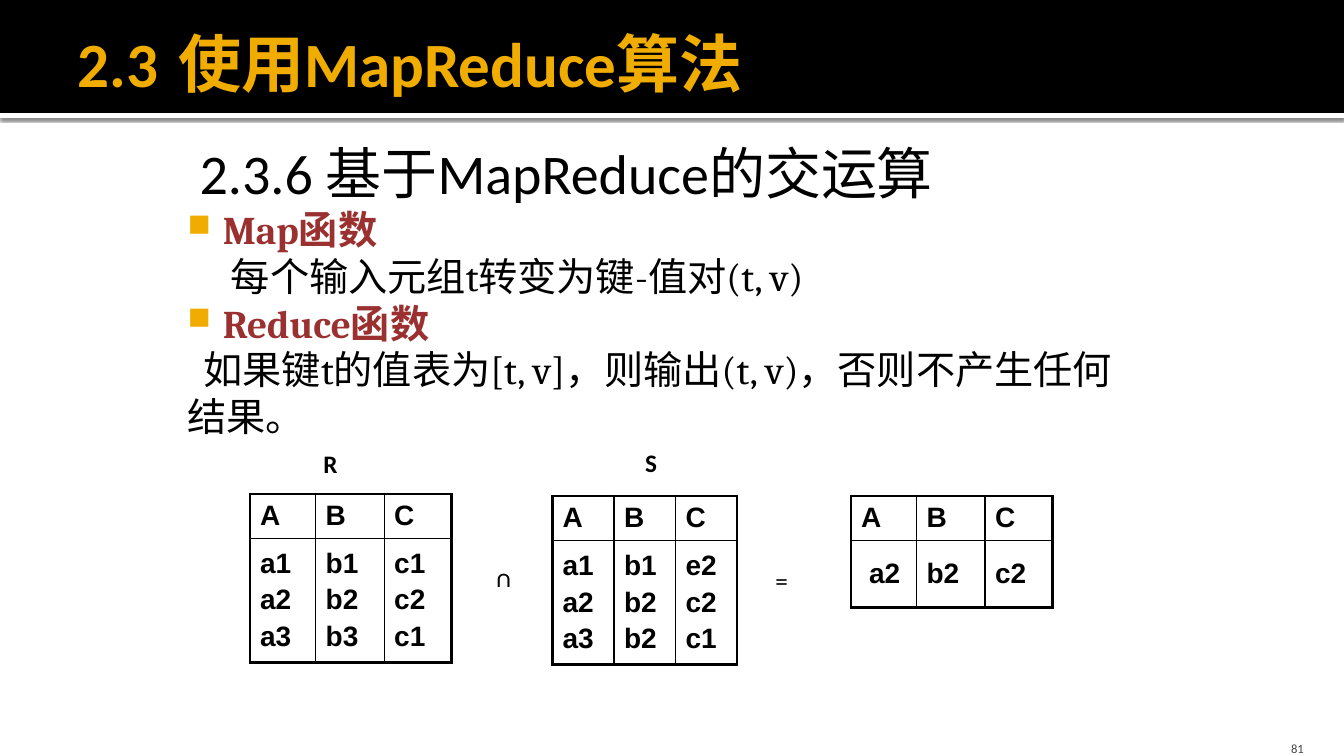
from dataclasses import dataclass

from lxml import etree
from pptx import Presentation
from pptx.dml.color import RGBColor
from pptx.enum import shapes, text
from pptx.oxml import ns
from pptx.util import Inches, Pt


@dataclass(frozen=True)
class Theme:
    black: str = "000000"
    white: str = "FFFFFF"
    gold: str = "F0AD00"
    red: str = "9A3130"
    grey: str = "454545"
    sans: str = "Calibri"
    serif: str = "Cambria"
    table_font: str = "Arial"
    title: int = 45
    heading: int = 40
    body: int = 28
    cell: int = 20
    label: int = 18
    number: int = 9
    thick: float = 2.25
    thin: float = 1


THEME = Theme()


def add_element(parent, tag, **attributes):
    element = etree.SubElement(parent, ns.qn(tag))
    for name, value in attributes.items():
        element.set(name, str(value))
    return element


def add_color(parent, color):
    return add_element(add_element(parent, "a:solidFill"), "a:srgbClr", val=color)


def write(paragraph, content, size, font=THEME.sans, color=THEME.black, bold=False,
          left=0, first=0, before=0, line=None, align=None, bullet=False, tab=None):
    properties = paragraph._p.get_or_add_pPr()
    properties.set("marL", str(Inches(left)))
    properties.set("indent", str(Inches(first)))
    if line:
        paragraph.line_spacing = Pt(line)
    if before:
        paragraph.space_before = Pt(before)
    if bullet:
        add_element(add_element(properties, "a:buClr"), "a:srgbClr", val=THEME.gold)
        add_element(properties, "a:buSzPct", val=80000)
        add_element(properties, "a:buChar", char="■")
    else:
        add_element(properties, "a:buNone")
    if tab:
        add_element(add_element(properties, "a:tabLst"), "a:tab", pos=Inches(tab), algn="l")
    if align:
        paragraph.alignment = align
    run = paragraph.add_run()
    run.text = content
    run.font.size = Pt(size)
    run.font.name = font
    run.font.bold = bold
    run.font.color.rgb = RGBColor.from_string(color)


def add_box(slide, place, insets=(0.1, 0.05, 0.1, 0.05), wrap=True,
            anchor=text.MSO_ANCHOR.TOP):
    frame = slide.shapes.add_textbox(*map(Inches, place)).text_frame
    frame.word_wrap = wrap
    frame.vertical_anchor = anchor
    (frame.margin_left, frame.margin_top,
     frame.margin_right, frame.margin_bottom) = map(Inches, insets)
    return frame


def add_band(slide, top, height, color):
    band = slide.shapes.add_shape(shapes.MSO_SHAPE.RECTANGLE, 0, Inches(top),
                                  Inches(13.33), Inches(height))
    band.shadow.inherit = False
    band.fill.solid()
    band.fill.fore_color.rgb = RGBColor.from_string(color)
    band.line.fill.background()
    return band


def add_shadow(shape):
    effects = shape._element.spPr.find(ns.qn("a:effectLst"))
    shadow = add_element(effects, "a:outerShdw", blurRad=Pt(2.5), dist=Pt(0.8),
                         dir=5400000, algn="t", rotWithShape=0)
    color = add_element(shadow, "a:srgbClr", val=THEME.black)
    add_element(color, "a:alpha", val=60000)


def set_borders(cell, outer_sides):
    properties = cell._tc.get_or_add_tcPr()
    for side, outer in outer_sides.items():
        width = THEME.thick if outer else THEME.thin
        add_color(add_element(properties, f"a:ln{side}", w=Pt(width)), THEME.black)


def add_relation(slide, left, top, widths, heights, columns, first_inset=0.1):
    table = slide.shapes.add_table(2, len(columns), Inches(left), Inches(top),
                                   Inches(sum(widths)), Inches(sum(heights))).table
    table.first_row = table.horz_banding = False
    for row, height in zip(table.rows, heights):
        row.height = Inches(height)
    for index, (name, values) in enumerate(columns.items()):
        table.columns[index].width = Inches(widths[index])
        for row, lines in enumerate(([name], values)):
            cell = table.cell(row, index)
            cell.vertical_anchor = text.MSO_ANCHOR.MIDDLE
            cell.margin_left = Inches(first_inset if row and not index else 0.1)
            set_borders(cell, {"L": index == 0, "R": index == len(columns) - 1,
                               "T": row == 0, "B": row == 1})
            cell.fill.background()
            for number, value in enumerate(lines):
                frame = cell.text_frame
                paragraph = frame.add_paragraph() if number else frame.paragraphs[0]
                write(paragraph, value, THEME.cell, font=THEME.table_font, bold=True,
                      before=4 if number else 0)


def add_body(slide):
    frame = add_box(slide, (1.67, 1.23, 9.78, 6.25), (0.06, 0.1, 0.1, 0.05))
    body = dict(size=THEME.body, font=THEME.serif, line=33.3)
    term = dict(body, color=THEME.red, bold=True, left=0.48, first=-0.35, bullet=True)
    paragraphs = [
        ("2.3.6 基于MapReduce的交运算", dict(size=THEME.heading, left=0.25, line=51.5)),
        ("Map函数", term),
        ("每个输入元组t转变为键-值对(t, v)", dict(body, left=0.56)),
        ("Reduce函数", term),
        ("如果键t的值表为[t, v]，则输出(t, v)，否则不产生任何结果。",
         dict(body, left=0.13, first=0.16)),
    ]
    for index, (content, style) in enumerate(paragraphs):
        paragraph = frame.add_paragraph() if index else frame.paragraphs[0]
        write(paragraph, content, **style)


def main():
    presentation = Presentation()
    presentation.slide_width = Inches(13.33)
    presentation.slide_height = Inches(7.5)
    slide = presentation.slides.add_slide(presentation.slide_layouts[6])

    add_shadow(add_band(slide, 1.12, 0.05, THEME.white))
    add_band(slide, 0, 1.12, THEME.black)
    title = add_box(slide, (0.67, 0.08, 12, 1.08), (0.1, 0.05, 0.05, 0.05),
                    anchor=text.MSO_ANCHOR.MIDDLE)
    write(title.paragraphs[0], "2.3\t使用MapReduce算法", THEME.title,
          color=THEME.gold, bold=True, tab=1.24)
    number = add_box(slide, (11.96, 7.2, 1.07, 0.3), (0.1, 0.05, 0.1, 0),
                     anchor=text.MSO_ANCHOR.BOTTOM)
    write(number.paragraphs[0], "81", THEME.number, color=THEME.grey,
          align=text.PP_ALIGN.RIGHT)
    add_body(slide)

    wide, even = (0.65, 0.68, 0.67), (0.61, 0.61, 0.61)
    tall, short = (0.44, 1.23), (0.44, 0.67)
    add_relation(slide, 2.48, 4.9, wide, tall, {
        "A": ["a1", "a2", "a3"], "B": ["b1", "b2", "b3"], "C": ["c1", "c2", "c1"]})
    add_relation(slide, 5.48, 4.92, even, tall, {
        "A": ["a1", "a2", "a3"], "B": ["b1", "b2", "b2"], "C": ["e2", "c2", "c1"]})
    add_relation(slide, 8.44, 4.92, wide, short,
                 {"A": ["a2"], "B": ["b2"], "C": ["c2"]}, first_inset=0.18)

    for label, left, top, inset, bold in [
            ("R", 3.11, 4.4, 0.1, True), ("S", 6.3, 4.39, 0.1, True),
            ("∩", 4.81, 5.53, 0.1, True), ("=", 7.69, 5.56, 0, False)]:
        frame = add_box(slide, (left, top, 0.2, 0.4), (inset, 0.05, inset, 0.05), wrap=False)
        write(frame.paragraphs[0], label, THEME.label, bold=bold)

    presentation.save("out.pptx")


if __name__ == "__main__":
    main()
